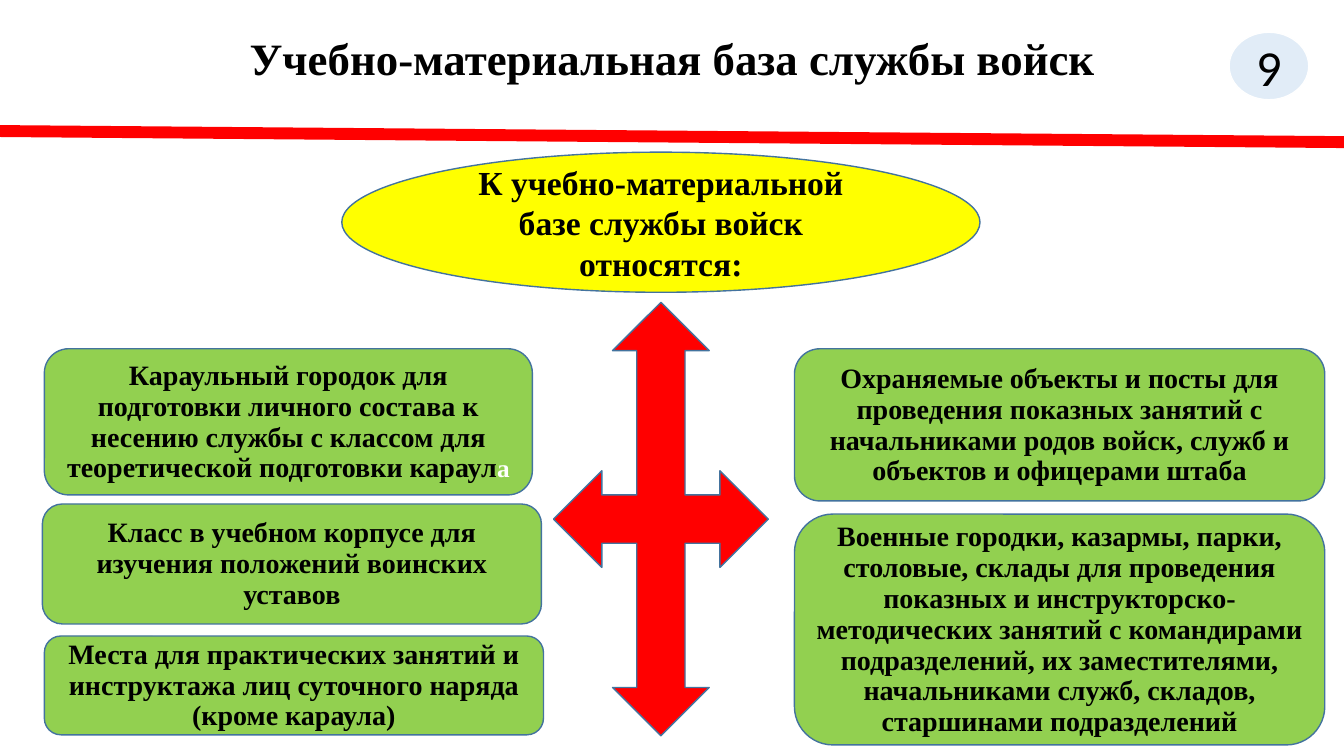
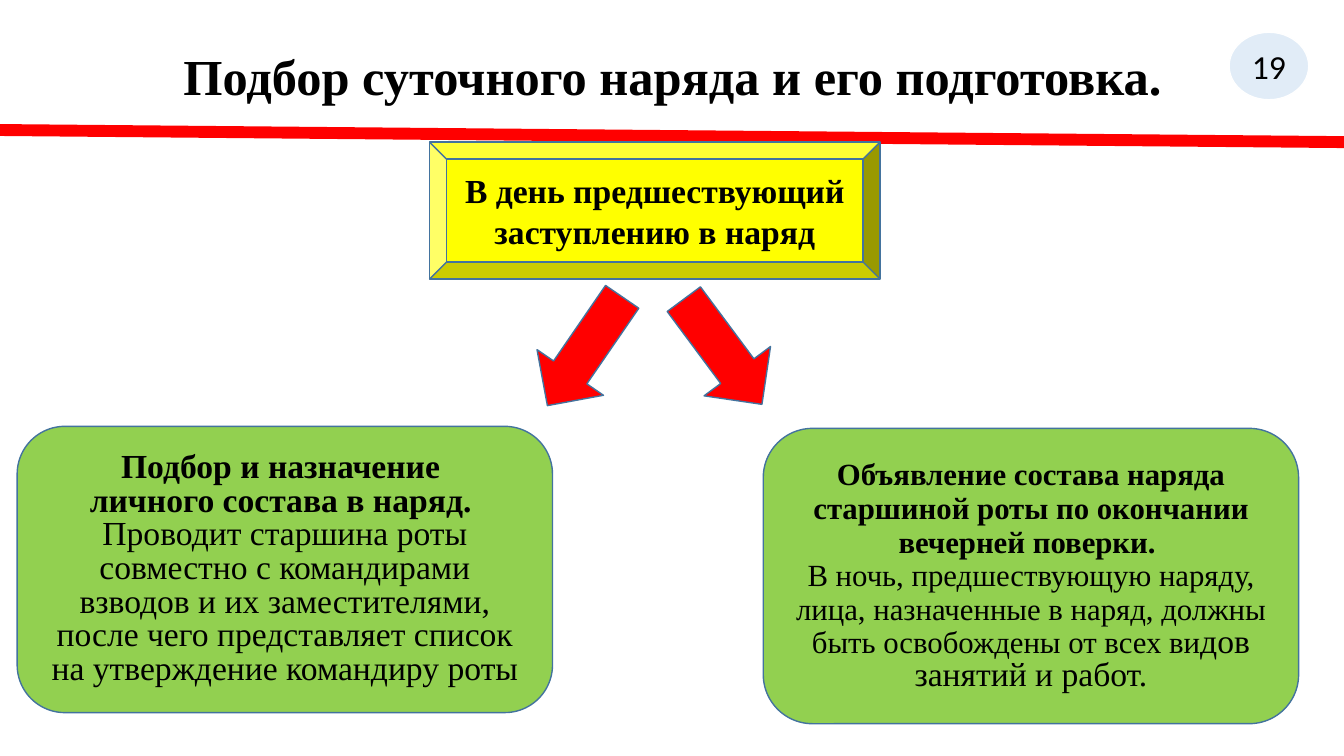
from lxml import etree
from pptx import Presentation
from pptx.dml.color import RGBColor
from pptx.enum.shapes import MSO_CONNECTOR, MSO_SHAPE
from pptx.enum.text import MSO_ANCHOR, PP_ALIGN
from pptx.oxml.ns import qn
from pptx.util import Inches, Pt

# Shared look
BLACK = RGBColor(0x00, 0x00, 0x00)
WHITE = RGBColor(0xFF, 0xFF, 0xFF)
RED = RGBColor(0xFF, 0x00, 0x00)
YELLOW = RGBColor(0xFF, 0xFF, 0x00)
GREEN = RGBColor(0x92, 0xD0, 0x50)
BADGE_BLUE = RGBColor(0x5B, 0x9B, 0xD5)
OUTLINE = RGBColor(0x43, 0x73, 0x9E)
SERIF, SANS = "Times New Roman", "Calibri"
SLIDE_WIDTH, SLIDE_HEIGHT = 13.33, 7.5
TITLE_LEFT, TITLE_WIDTH = 0.92, 11.5
BADGE_BOX = (12.19, 0.32, 0.79, 0.67)
RULE_RIGHT_Y = 1.41


def run(text, size, bold=True, color=BLACK, font=SERIF):
    return text, size, bold, color, font


# Content: each box is (left, top, width, height); a paragraph is a list of runs
LEFT_X, RIGHT_X, RIGHT_WIDTH, ROW_Y = 0.44, 7.88, 5.26, 3.46
CARD_Y, CARD_WIDTH = 4.24, 5.31

SLIDES = [
    {
        "title": ("Учебно-материальная база службы войск", 32, 0, 1.21),
        "number": ("9", 36),
        "rule_y": 1.3,
        "heading": (MSO_SHAPE.OVAL, (3.39, 1.51, 6.33, 1.39),
                    "К учебно-материальной базе службы войск относятся:"),
        "line_spacing": 22,
        "cards": [
            ((LEFT_X, ROW_Y, 4.84, 1.45), [[
                run("Караульный городок для подготовки личного состава к несению "
                    "службы с классом для теоретической подготовки караул", 20),
                run("а", 18, color=WHITE)]]),
            ((0.42, 5, 4.95, 1.19), [[
                run("Класс в учебном корпусе для изучения положений воинских "
                    "уставов", 20)]]),
            ((LEFT_X, 6.31, 4.95, 0.98), [[
                run("Места для практических занятий и инструктажа лиц суточного "
                    "наряда (кроме караула)", 20)]]),
            ((RIGHT_X, ROW_Y, RIGHT_WIDTH, 1.51), [[
                run("Охраняемые объекты и посты для проведения показных занятий с "
                    "начальниками родов войск, служб и объектов и офицерами штаба",
                    20)]]),
            ((RIGHT_X, 5.1, RIGHT_WIDTH, 2.29), [[
                run("Военные городки, казармы, парки, столовые, склады для "
                    "проведения показных и инструкторско-методических занятий с "
                    "командирами подразделений, их заместителями, начальниками "
                    "служб, складов, старшинами подразделений", 20)]]),
        ],
        "arrows": [(MSO_SHAPE.QUAD_ARROW, (5.49, 3, 2.13, 4.3), 0)],
    },
    {
        "title": ("Подбор суточного наряда и его подготовка.", 36, 0.05, 1.48),
        "number": ("19", 24),
        "rule_y": 1.29,
        "heading": (MSO_SHAPE.BEVEL, (4.26, 1.41, 4.47, 1.36),
                    "В день предшествующий заступлению в наряд"),
        "line_spacing": 24,
        "cards": [
            ((0.17, CARD_Y - 0.01, CARD_WIDTH, 2.84), [
                [run("Подбор и назначение ", 24)],
                [run("личного состава в наряд. ", 24)],
                [run("Проводит старшина роты совместно с командирами взводов и их "
                     "заместителями, после чего представляет список на утверждение "
                     "командиру роты", 24, bold=False)]]),
            ((7.57, CARD_Y + 0.01, CARD_WIDTH, 2.93), [
                [run("Объявление состава наряда старшиной роты по окончании "
                     "вечерней поверки. ", 22)],
                [run("В ночь, предшествующую наряду, лица, назначенные в наряд, "
                     "должны быть освобождены от всех ви", 22, bold=False),
                 run("дов занятий и работ.", 24, bold=False)]]),
        ],
        "arrows": [(MSO_SHAPE.DOWN_ARROW, (5.4, 2.83, 0.8, 1.31), 34.5),
                   (MSO_SHAPE.DOWN_ARROW, (6.76, 2.84, 0.82, 1.3), 323.4)],
    },
]


def write_text(shape, paragraphs, spacing=None):
    text_frame = shape.text_frame
    text_frame.word_wrap = True
    text_frame.vertical_anchor = MSO_ANCHOR.MIDDLE
    for index, runs in enumerate(paragraphs):
        paragraph = text_frame.add_paragraph() if index else text_frame.paragraphs[0]
        paragraph.alignment = PP_ALIGN.CENTER
        paragraph.line_spacing = spacing
        for text, size, bold, color, font in runs:
            text_run = paragraph.add_run()
            text_run.text = text
            text_run.font.size = Pt(size)
            text_run.font.bold = bold
            text_run.font.color.rgb = color
            text_run.font.name = font


def add_box(slide, kind, box, fill, line=OUTLINE):
    shape = slide.shapes.add_shape(kind, *map(Inches, box))
    shape.shadow.inherit = False
    shape.fill.solid()
    shape.fill.fore_color.rgb = fill
    shape.line.color.rgb = line
    shape.line.width = Pt(1)
    return shape


def add_header(slide, title, number, rule_y):
    # Title
    text, size, top, height = title
    title_box = slide.shapes.add_textbox(
        *map(Inches, (TITLE_LEFT, top, TITLE_WIDTH, height)))
    write_text(title_box, [[run(text, size)]], 0.9)

    # Red rule, slightly slanted
    rule = slide.shapes.add_connector(
        MSO_CONNECTOR.STRAIGHT, Inches(0), Inches(rule_y),
        Inches(SLIDE_WIDTH), Inches(RULE_RIGHT_Y))
    rule.line.color.rgb = RED
    rule.line.width = Pt(8.5)
    etree.SubElement(rule._element.spPr, qn("a:effectLst"))

    # Translucent number badge
    badge = add_box(slide, MSO_SHAPE.OVAL, BADGE_BOX, BADGE_BLUE, WHITE)
    color = badge._element.spPr.find(qn("a:solidFill")).find(qn("a:srgbClr"))
    etree.SubElement(color, qn("a:alpha"), val="18000")
    badge.text_frame.margin_left = badge.text_frame.margin_right = 0
    label, label_size = number
    write_text(badge, [[run(label, label_size, bold=False, font=SANS)]])


def build_slide(presentation, content):
    slide = presentation.slides.add_slide(presentation.slide_layouts[6])
    add_header(slide, content["title"], content["number"], content["rule_y"])

    # Yellow heading
    kind, box, text = content["heading"]
    write_text(add_box(slide, kind, box, YELLOW), [[run(text, 24)]])

    # Green cards
    for box, paragraphs in content["cards"]:
        card = add_box(slide, MSO_SHAPE.ROUNDED_RECTANGLE, box, GREEN)
        write_text(card, paragraphs, Pt(content["line_spacing"]))

    # Red arrows
    for kind, box, rotation in content["arrows"]:
        add_box(slide, kind, box, RED).rotation = rotation


def main():
    presentation = Presentation()
    presentation.slide_width = Inches(SLIDE_WIDTH)
    presentation.slide_height = Inches(SLIDE_HEIGHT)
    for content in SLIDES:
        build_slide(presentation, content)
    presentation.save("out.pptx")


if __name__ == "__main__":
    main()
